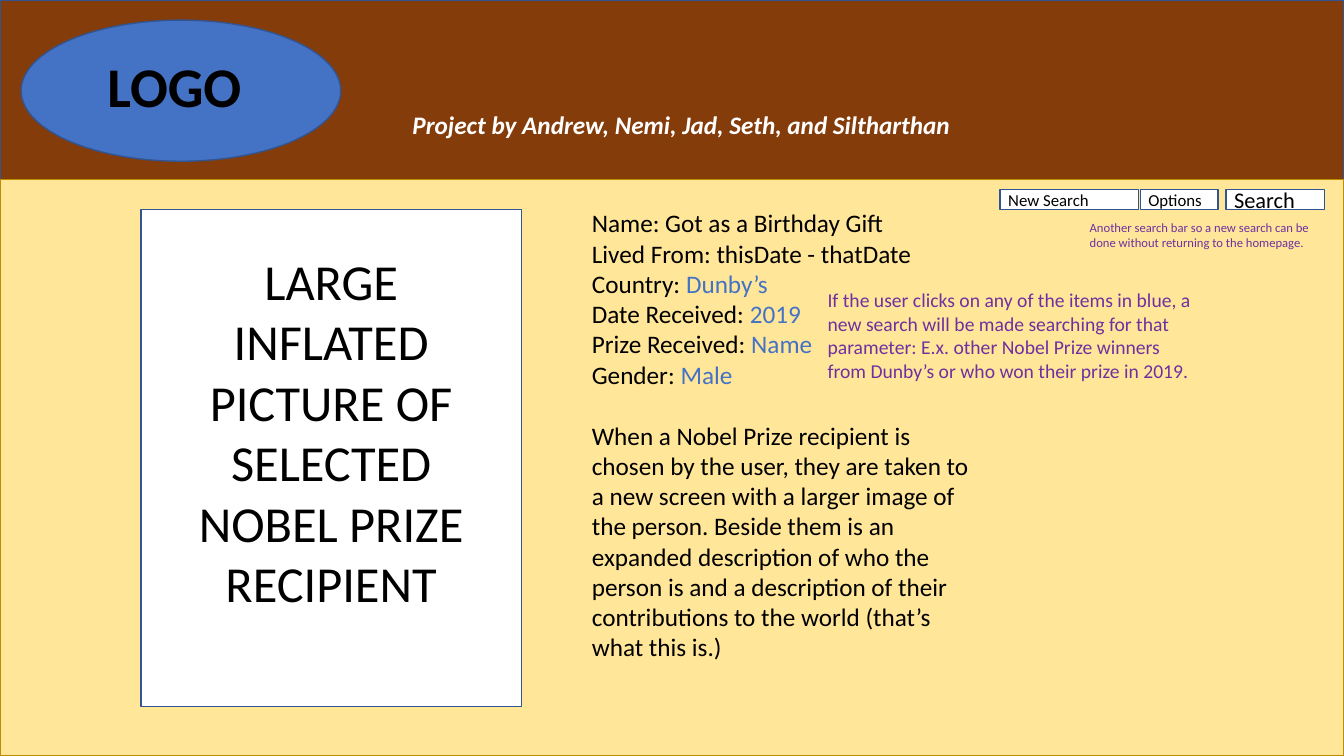
from lxml import etree
from pptx import Presentation
from pptx import util as u
from pptx.dml.color import RGBColor
from pptx.enum import shapes, text
from pptx.oxml.ns import qn

THEME = {
    "font": "Calibri",
    "colours": {"brown": "843C0B", "cream": "FFE699", "gold": "BD8E00", "navy": "325491",
                "blue": "4472C4", "purple": "7030A0", "white": "FFFFFF", "black": "000000"},
    "sizes": {"logo": 40, "picture": 36, "body": 18, "search": 16, "note": 14,
              "button": 12, "small": 9},
}
SIZES = THEME["sizes"]
WIDTH, HEIGHT, HEADER = 13.33, 7.5, 1.78

CREDIT = "Project by Andrew, Nemi, Jad, Seth, and Siltharthan"
PICTURE = "LARGE INFLATED PICTURE OF SELECTED NOBEL PRIZE RECIPIENT"
FACTS = [  # label, plain value, searchable value
    ("Name: ", "Got as a Birthday Gift", ""),
    ("Lived From: ", "thisDate - thatDate", ""),
    ("Country: ", "", "Dunby’s"),
    ("Date Received: ", "", "2019"),
    ("Prize Received: ", "", "Name"),
    ("Gender: ", "", "Male"),
]
STORY = ("When a Nobel Prize recipient is chosen by the user, they are taken to a new screen "
         "with a larger image of the person. Beside them is an expanded description of who the "
         "person is and a description of their contributions to the world (that’s what this is.)")
BUTTONS = [  # label, left, width, type size
    ("New Search", 9.92, 1.37, SIZES["button"]),
    ("Options", 11.31, 0.77, SIZES["button"]),
    ("Search", 12.16, 0.98, SIZES["search"]),
]
NOTES = [  # wording, box, type size
    ("Another search bar so a new search can be done without returning to the homepage.",
     (10.71, 2.13, 2.54, 0.4), SIZES["small"]),
    ("If the user clicks on any of the items in blue, a new search will be made searching for "
     "that parameter: E.x. other Nobel Prize winners from Dunby’s or who won their prize in 2019.",
     (8.11, 2.81, 3.86, 1.04), SIZES["note"]),
]


def colour(name):
    """Return a theme colour."""
    return RGBColor.from_string(THEME["colours"][name])


def inches(box):
    """Turn a box in inches into slide lengths."""
    return [u.Inches(length) for length in box]


def add_block(slide, preset, box, fill, line="navy"):
    """Add a flat filled shape with a thin outline."""
    shape = slide.shapes.add_shape(preset, *inches(box))
    shape.shadow.inherit = False
    shape.fill.solid()
    shape.fill.fore_color.rgb = colour(fill)
    shape.line.color.rgb = colour(line)
    shape.line.width = u.Pt(1)
    return shape


def write(shape, paragraphs, size, color="black", bold=False, italic=False, align="LEFT",
          anchor="TOP", margins=(0.1, 0.05, 0.1, 0.05)):
    """Fill a shape with paragraphs, each a list of (wording, colour or None) runs."""
    if isinstance(paragraphs, str):
        paragraphs = [[(paragraphs, None)]]
    frame = shape.text_frame
    frame.word_wrap = True
    frame.auto_size = text.MSO_AUTO_SIZE.NONE
    frame.vertical_anchor = text.MSO_ANCHOR[anchor]
    (frame.margin_left, frame.margin_top,
     frame.margin_right, frame.margin_bottom) = inches(margins)
    for index, runs in enumerate(paragraphs):
        paragraph = frame.add_paragraph() if index else frame.paragraphs[0]
        paragraph.alignment = text.PP_ALIGN[align]
        paragraph.space_before = u.Pt(0)
        for wording, tint in runs:
            run = paragraph.add_run()
            run.text = wording
            font = run.font
            font.size, font.name = u.Pt(size), THEME["font"]
            font.bold, font.italic = bold, italic
            font.color.rgb = colour(tint or color)
    return frame


def add_text(slide, wording, box, size, **style):
    """Add a text box."""
    return write(slide.shapes.add_textbox(*inches(box)), wording, size, **style)


def place(slide, placeholder, box):
    """Move a placeholder to its box, in front of what is already drawn."""
    placeholder.left, placeholder.top, placeholder.width, placeholder.height = inches(box)
    slide.shapes._spTree.append(placeholder._element)
    return placeholder


def remove_bullets(frame):
    """Turn list paragraphs into plain lines."""
    for paragraph in frame.paragraphs:
        properties = paragraph._p.get_or_add_pPr()
        properties.set("marL", "0")
        properties.set("indent", "0")
        etree.SubElement(properties, qn("a:buNone"))


def add_text_shadow(frame):
    """Give each run a soft shadow below it."""
    for run in frame.paragraphs[0].runs:
        effects = etree.Element(qn("a:effectLst"))
        shadow = etree.SubElement(effects, qn("a:outerShdw"), blurRad="38100", dist="38100",
                                  dir="2700000", algn="tl")
        tint = etree.SubElement(shadow, qn("a:srgbClr"), val=THEME["colours"]["black"])
        etree.SubElement(tint, qn("a:alpha"), val="43000")
        run._r.rPr.find(qn("a:solidFill")).addnext(effects)


def build():
    """Build and save the slide."""
    presentation = Presentation()
    presentation.slide_width, presentation.slide_height = inches((WIDTH, HEIGHT))
    slide = presentation.slides.add_slide(presentation.slide_layouts[1])
    title, body = slide.placeholders
    rectangle, oval = shapes.MSO_SHAPE.RECTANGLE, shapes.MSO_SHAPE.OVAL

    add_block(slide, rectangle, (0, 0, WIDTH, HEADER), "brown")
    add_block(slide, rectangle, (0, HEADER, WIDTH, HEIGHT - HEADER), "cream", "gold")
    add_block(slide, oval, (0.21, 0.2, 3.17, 1.4), "blue")
    add_text(slide, "LOGO", (0.78, 0.46, 1.9, 0.77), SIZES["logo"], bold=True, align="CENTER")
    credit = write(place(slide, title, (3.99, 1.03, 5.66, 0.4)), CREDIT, SIZES["body"],
                   color="white", bold=True, italic=True)
    add_text_shadow(credit)

    portrait = add_block(slide, rectangle, (1.4, 2.08, 3.77, 4.93), "white")
    write(portrait, PICTURE, SIZES["picture"], align="CENTER", margins=(0.47, 0.4, 0.47, 0.05))

    lines = [[(label + plain, None)] + ([(link, "blue")] if link else [])
             for label, plain, link in FACTS]
    details = write(place(slide, body, (5.77, 2.01, 3.96, 4.64)),
                    lines + [[(STORY, None)]], SIZES["body"])
    details.paragraphs[-1].space_before = u.Pt(22)
    remove_bullets(details)

    for label, left, width, size in BUTTONS:
        button = add_block(slide, rectangle, (left, 1.88, width, 0.2), "white")
        write(button, label, size, anchor="MIDDLE", margins=(0.08, 0, 0, 0))
    for wording, box, size in NOTES:
        add_text(slide, wording, box, size, color="purple")
    presentation.save("out.pptx")


build()
